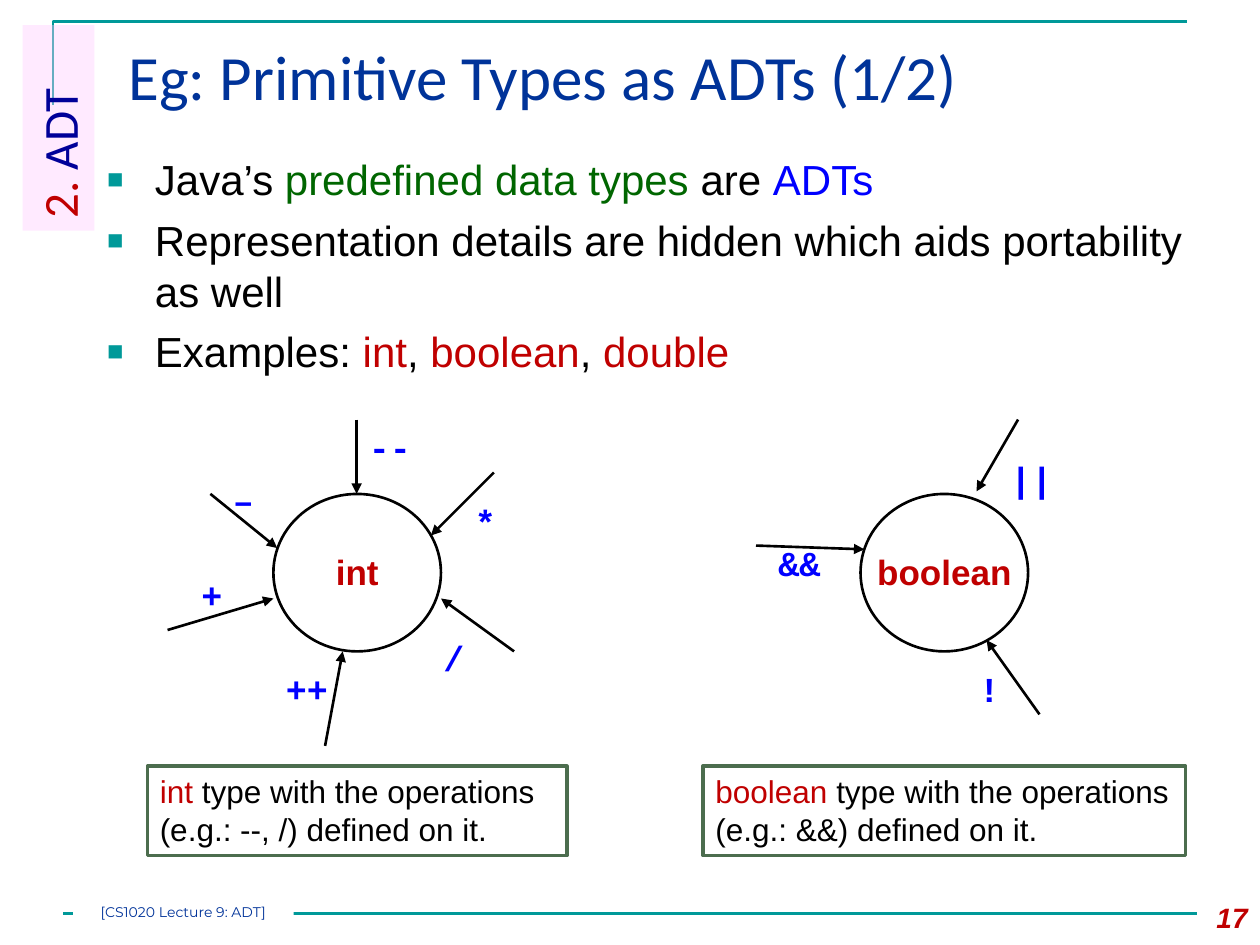
from dataclasses import dataclass

from lxml import etree
from pptx import Presentation
from pptx import util as u
from pptx.dml.color import RGBColor
from pptx.enum import shapes, text
from pptx.oxml.ns import qn

Inches, Pt = u.Inches, u.Pt


@dataclass(frozen=True)
class Theme:
    black: str = "000000"
    white: str = "FFFFFF"
    teal: str = "009999"
    navy: str = "003399"
    tab_blue: str = "000099"
    tab_pink: str = "FFCCFF"
    blue: str = "0000FF"
    green: str = "006600"
    red: str = "C00000"
    box_line: str = "4C6D4E"
    body: str = "Arial"
    heading: str = "Calibri"
    code: str = "Courier New"
    footer: str = "Montserrat"
    title_pt: int = 36
    tab_pt: int = 28
    body_pt: int = 24
    label_pt: int = 20
    caption_pt: int = 18
    number_pt: int = 16
    footer_pt: int = 8
    line_pt: float = 1.5


T = Theme()
CIRCLE_W, CIRCLE_H, CIRCLE_TOP = 1.33, 1.25, 3.92


def rgb(value):
    return RGBColor.from_string(value)


def place(sp, left, top, width, height):
    sp.left, sp.top = Inches(left), Inches(top)
    sp.width, sp.height = Inches(width), Inches(height)


def add_runs(p, runs, font, size, bold=False, italic=False):
    """Fill a paragraph with (text, colour) runs of one font and size."""
    for words, color in runs:
        r = p.add_run()
        r.text = words
        r.font.name, r.font.size = font, Pt(size)
        r.font.bold, r.font.italic = bold, italic
        r.font.color.rgb = rgb(color)


def prepare_frame(sp, wrap=True, align=text.PP_ALIGN.LEFT):
    tf = sp.text_frame
    tf.word_wrap = wrap
    tf.auto_size = text.MSO_AUTO_SIZE.NONE
    tf.vertical_anchor = text.MSO_ANCHOR.TOP
    tf.paragraphs[0].alignment = align
    return tf


def add_label(parent, box, runs, font, size, wrap=True,
              align=text.PP_ALIGN.LEFT, italic=False):
    sp = parent.add_textbox(*map(Inches, box))
    tf = prepare_frame(sp, wrap, align)
    add_runs(tf.paragraphs[0], runs, font, size, bold=True, italic=italic)


def add_box(parent, box, fill=None, line=None, line_pt=T.line_pt,
            kind=shapes.MSO_SHAPE.RECTANGLE):
    sp = parent.add_shape(kind, *map(Inches, box))
    sp.shadow.inherit = False
    if fill:
        sp.fill.solid()
        sp.fill.fore_color.rgb = rgb(fill)
    else:
        sp.fill.background()
    if line:
        sp.line.color.rgb = rgb(line)
        sp.line.width = Pt(line_pt)
    else:
        sp.line.fill.background()
    return sp


def add_line(parent, start, end, color, arrow=False):
    c = parent.add_connector(shapes.MSO_CONNECTOR.STRAIGHT,
                             *map(Inches, (*start, *end)))
    c.line.color.rgb = rgb(color)
    c.line.width = Pt(T.line_pt)
    sp_pr = c._element.spPr
    if arrow:
        etree.SubElement(sp_pr.find(qn("a:ln")), qn("a:tailEnd"), type="triangle")
    etree.SubElement(sp_pr, qn("a:effectLst"))


def add_bullet(p):
    p_pr = p._p.get_or_add_pPr()
    p_pr.set("marL", str(Inches(0.38)))
    p_pr.set("indent", str(-Inches(0.38)))
    color = etree.SubElement(p_pr, qn("a:buClr"))
    etree.SubElement(color, qn("a:srgbClr"), val=T.teal)
    etree.SubElement(p_pr, qn("a:buSzPct"), val="65000")
    etree.SubElement(p_pr, qn("a:buFont"), typeface=T.body)
    etree.SubElement(p_pr, qn("a:buChar"), char="■")


def add_body(sp, items):
    place(sp, 0.75, 1.17, 8.75, 2)
    tf = prepare_frame(sp)
    for i, runs in enumerate(items):
        p = tf.paragraphs[0] if i == 0 else tf.add_paragraph()
        add_bullet(p)
        p.space_before = Pt(6 if i else 0)
        add_runs(p, runs, T.body, T.body_pt)


def add_type_diagram(s, name, left, operations):
    """A type circle with one arrow and one label per operation."""
    group = s.shapes.add_group_shape().shapes
    for symbol, label_at, start, end in operations:
        width = 0.2 + 0.17 * len(symbol)
        add_label(group, (*label_at, width, 0.44), [(symbol, T.blue)],
                  T.code, T.label_pt, wrap=False)
        add_line(group, start, end, T.black, arrow=True)
    add_box(group, (left, CIRCLE_TOP, CIRCLE_W, CIRCLE_H), line=T.black,
            kind=shapes.MSO_SHAPE.OVAL)
    add_label(group, (left + 0.02, CIRCLE_TOP + 0.4, CIRCLE_W - 0.04, 0.44),
              [(name, T.red)], T.body, T.label_pt, align=text.PP_ALIGN.CENTER)


def add_caption(s, left, width, runs):
    sp = add_box(s.shapes, (left, 6.08, width, 0.71), T.white, T.box_line, 2)
    add_runs(prepare_frame(sp).paragraphs[0], runs, T.body, T.caption_pt)


def add_frame_lines(s):
    builder = s.shapes.build_freeform(Inches(0.42), Inches(0.83))
    corner = [(Inches(0.42), Inches(0.17)), (Inches(9.42), Inches(0.17))]
    builder.add_line_segments(corner, close=False)
    sp = builder.convert_to_shape()
    sp.shadow.inherit = False
    sp.fill.background()
    sp.line.color.rgb = rgb(T.teal)
    sp.line.width = Pt(T.line_pt)
    add_line(s.shapes, (0.5, 7.25), (9.5, 7.25), T.teal)


def add_section_tab(s):
    sp = add_box(s.shapes, (-0.35, 0.73, 1.63, 0.57), T.tab_pink)
    sp.rotation = 270
    color = sp._element.spPr.find(qn("a:solidFill"))[0]
    etree.SubElement(color, qn("a:alpha"), val="40000")
    add_runs(prepare_frame(sp).paragraphs[0],
             [("2. ", T.red), ("ADT", T.tab_blue)], T.heading, T.tab_pt)


def add_footer(s):
    sp = add_box(s.shapes, (0.58, 7.17, 1.75, 0.17), T.white)
    tf = prepare_frame(sp, align=text.PP_ALIGN.CENTER)
    tf.margin_left = tf.margin_right = tf.margin_top = tf.margin_bottom = 0
    add_runs(tf.paragraphs[0], [("[CS1020 Lecture 9: ADT]", T.navy)],
             T.footer, T.footer_pt)
    add_label(s.shapes, (9.33, 7.1, 0.67, 0.4), [("17", T.red)], T.body,
              T.number_pt, align=text.PP_ALIGN.RIGHT, italic=True)


def main():
    prs = Presentation()
    prs.slide_width, prs.slide_height = Inches(10), Inches(7.5)
    s = prs.slides.add_slide(prs.slide_layouts[1])
    add_frame_lines(s)

    # Title and bullets
    title, body = s.placeholders
    place(title, 0.92, 0.25, 8.83, 0.86)
    add_runs(prepare_frame(title).paragraphs[0],
             [("Eg: Primitive Types as ADTs (1/2)", T.navy)], T.heading, T.title_pt)
    add_body(body, [
        [("Java’s ", T.black), ("predefined data types ", T.green),
         ("are ", T.black), ("ADTs", T.blue)],
        [("Representation details are hidden which aids portability as well",
          T.black)],
        [("Examples: ", T.black), ("int", T.red), (", ", T.black),
         ("boolean", T.red), (", ", T.black), ("double", T.red)],
    ])

    # Types with operations: symbol, label position, arrow start, arrow end
    add_type_diagram(s, "boolean", 6.83, [
        ("&&", (6.08, 4.25), (6, 4.33), (6.86, 4.36)),
        ("!", (7.67, 5.25), (8.25, 5.67), (7.83, 5.08)),
        ("||", (7.92, 3.58), (8.08, 3.33), (7.75, 3.9)),
    ])
    add_type_diagram(s, "int", 2.17, [
        ("+", (1.5, 4.5), (1.33, 5), (2.17, 4.75)),
        ("–", (1.75, 3.75), (1.67, 3.92), (2.2, 4.35)),
        ("*", (3.67, 3.92), (3.92, 3.75), (3.42, 4.25)),
        ("++", (2.17, 5.25), (2.58, 5.92), (2.72, 5.17)),
        ("/", (3.42, 5), (4.08, 5.17), (3.5, 4.75)),
        ("--", (2.83, 3.33), (2.83, 3.33), (2.83, 3.92)),
    ])

    # Captions
    add_caption(s, 1.17, 3.33, [
        ("int", T.red),
        (" type with the operations (e.g.: --, /) defined on it.", T.black)])
    add_caption(s, 5.58, 3.83, [
        ("boolean ", T.red),
        ("type with the operations (e.g.: &&) defined on it.", T.black)])

    # Section tab and footer
    add_section_tab(s)
    add_footer(s)
    prs.save("out.pptx")


if __name__ == "__main__":
    main()
